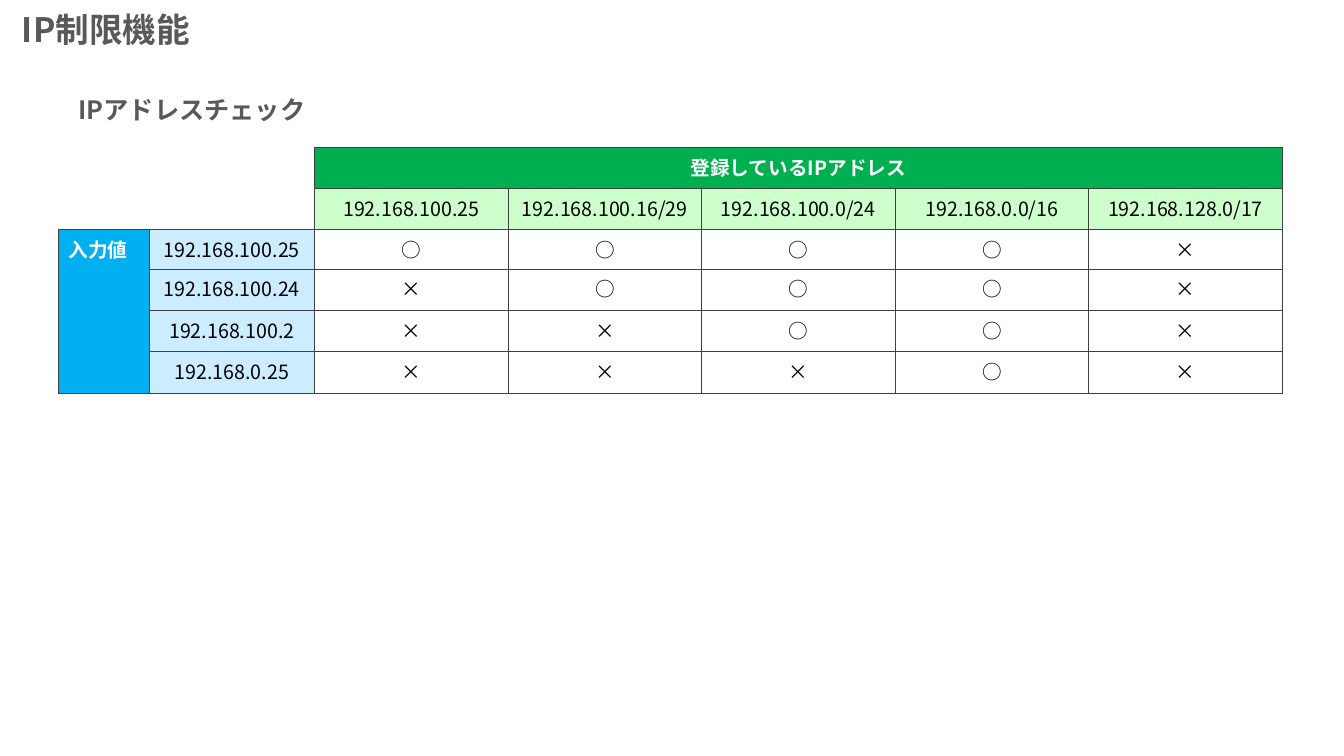
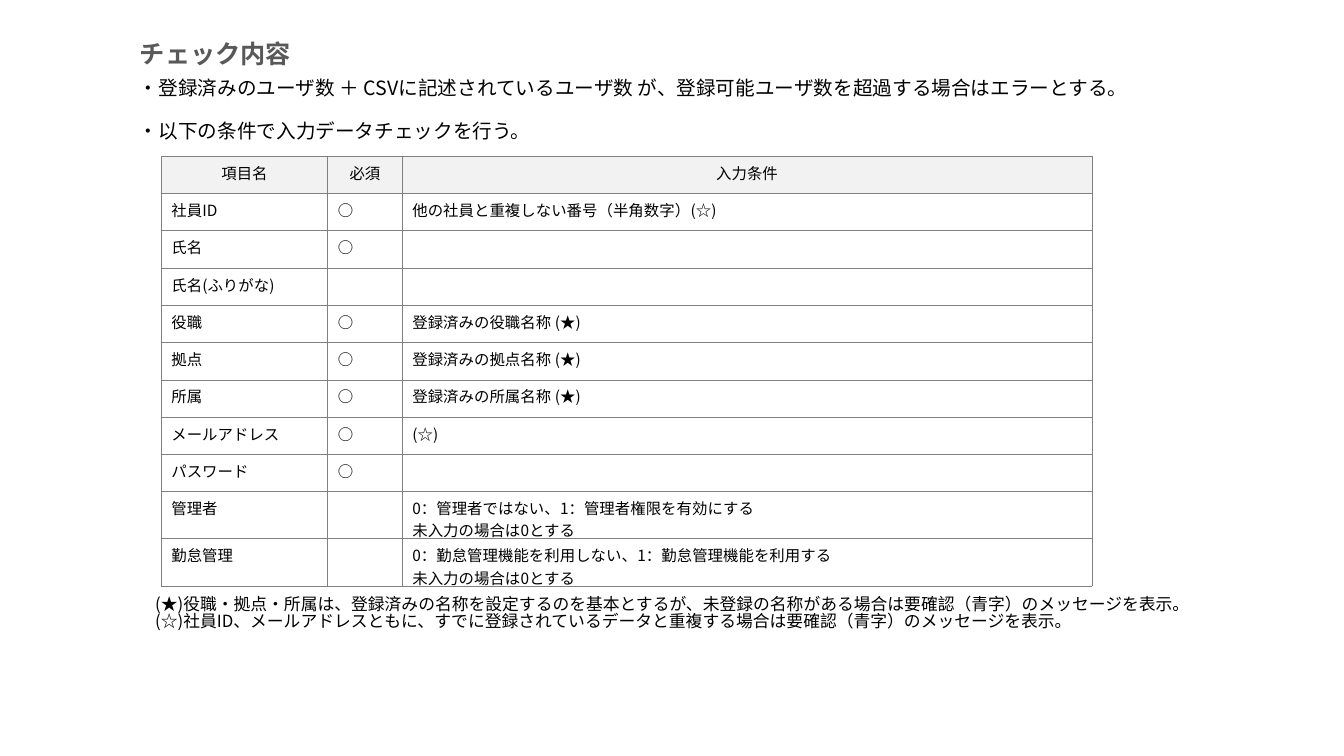
from dataclasses import dataclass, field

from lxml.etree import SubElement
from pptx import Presentation
from pptx.dml.color import RGBColor
from pptx.enum.text import PP_ALIGN as Align
from pptx.oxml.ns import qn
from pptx.util import Inches, Pt

FONT = "Noto Sans CJK JP"
WHITE, BLACK, GREY = "FFFFFF", "000000", "595959"
DARK, MID, PALE = "404040", "808080", "F2F2F2"
GREEN, MINT = "00B050", "CCFFCC"
BLUE, SKY = "00B0F0", "CCECFF"
SIDES = "LRTB"


@dataclass(frozen=True)
class Style:
    size: float
    color: str = BLACK
    bold: bool = False
    align: Align = Align.LEFT


@dataclass
class Cell:
    text: str
    style: Style
    fill: str = WHITE
    edges: dict[str, str] = field(default_factory=dict)


@dataclass
class Box:
    left: float
    top: float
    width: float
    height: float
    text: str
    style: Style
    gap: float = 0


TITLE = Style(24, GREY, True)
HEAD = Style(18, GREY, True)
BODY = Style(14)
NOTE = Style(12)
MARK = Style(14, align=Align.CENTER)
TOP = Style(14, WHITE, True, Align.CENTER)
SIDE = Style(14, WHITE, True)
ITEM = Style(11)
LABEL = Style(11, align=Align.CENTER)


def rgb(code: str) -> RGBColor:
    return RGBColor.from_string(code)


def write(frame, text: str, style: Style) -> None:
    """Fill a text frame, one paragraph a line, in one style."""
    frame.text = text
    for para in frame.paragraphs:
        para.alignment = style.align
        font = para.font
        font.size, font.bold, font.name = Pt(style.size), style.bold, FONT
        font.color.rgb = rgb(style.color)
        props = para._p.pPr.find(qn("a:defRPr"))
        SubElement(props, qn("a:ea"), typeface=FONT)
        if not para.runs:
            # An empty cell needs its own size, or its row grows
            SubElement(para._p, qn("a:endParaRPr"), sz=str(style.size * 100))


def add_box(slide, box: Box) -> None:
    shape = slide.shapes.add_textbox(
        Inches(box.left), Inches(box.top), Inches(box.width), Inches(box.height))
    frame = shape.text_frame
    frame.word_wrap = True
    write(frame, box.text, box.style)
    for i, para in enumerate(frame.paragraphs):
        para.line_spacing = 0.83
        if i:
            para.space_before = Pt(box.gap)


def add_edge(cell, side: str, color: str) -> None:
    props = cell._tc.get_or_add_tcPr()
    line = SubElement(props, qn(f"a:ln{side}"), w=str(Pt(0.5)))
    fill = SubElement(line, qn("a:solidFill"))
    SubElement(fill, qn("a:srgbClr"), val=color)


def add_grid(slide, left: float, top: float, cols: list[float],
             rows: list[float], cells: list[list[Cell]], edge: str):
    """Draw a table whose cells have thin edges and plain fills."""
    table = slide.shapes.add_table(
        len(rows), len(cols), Inches(left), Inches(top),
        Inches(sum(cols)), Inches(sum(rows))).table
    table.first_row = table.horz_banding = False
    for col, width in zip(table.columns, cols):
        col.width = Inches(width)
    for row, height in zip(table.rows, rows):
        row.height = Inches(height)
    for r, line in enumerate(cells):
        for c, item in enumerate(line):
            cell = table.cell(r, c)
            write(cell.text_frame, item.text, item.style)
            for side in SIDES:
                add_edge(cell, side, item.edges.get(side, edge))
            cell.fill.solid()
            cell.fill.fore_color.rgb = rgb(item.fill)
    return table


def corner(row: int, col: int) -> Cell:
    """Blank cell, with dark edges only where it meets the headers."""
    edges = dict.fromkeys(SIDES, WHITE)
    if col == 1:
        edges["R"] = DARK
    if row == 1:
        edges["B"] = DARK
    return Cell("", MARK, edges=edges)


def ip_slide(slide) -> None:
    nets = ["192.168.100.25", "192.168.100.16/29", "192.168.100.0/24",
            "192.168.0.0/16", "192.168.128.0/17"]
    checks = {
        "192.168.100.25": "○○○○×",
        "192.168.100.24": "×○○○×",
        "192.168.100.2": "××○○×",
        "192.168.0.25": "×××○×",
    }
    heads = ["登録しているIPアドレス"] + [""] * (len(nets) - 1)
    cells = [
        [corner(0, 0), corner(0, 1)] + [Cell(t, TOP, GREEN) for t in heads],
        [corner(1, 0), corner(1, 1)] + [Cell(t, MARK, MINT) for t in nets],
    ]
    for i, (value, marks) in enumerate(checks.items()):
        cells.append([Cell("" if i else "入力値", SIDE, BLUE),
                      Cell(value, MARK, SKY)] + [Cell(m, MARK) for m in marks])
    table = add_grid(slide, 0.58, 1.46, [0.9, 1.64] + [1.92] * len(nets),
                     [0.41, 0.41, 0.39, 0.41, 0.41, 0.41], cells, DARK)
    table.cell(0, 2).merge(table.cell(0, 6))
    table.cell(2, 0).merge(table.cell(5, 0))
    add_box(slide, Box(0.68, 0.94, 7.59, 0.4, "IPアドレスチェック", HEAD))
    add_box(slide, Box(0.12, 0.11, 3.13, 0.5, "IP制限機能", TITLE))


def check_slide(slide) -> None:
    heads = ["項目名", "必須", "入力条件"]
    items = [
        ("社員ID", "○", "他の社員と重複しない番号（半角数字）(☆)"),
        ("氏名", "○", ""),
        ("氏名(ふりがな)", "", ""),
        ("役職", "○", "登録済みの役職名称 (★)"),
        ("拠点", "○", "登録済みの拠点名称 (★)"),
        ("所属", "○", "登録済みの所属名称 (★)"),
        ("メールアドレス", "○", "(☆)"),
        ("パスワード", "○", ""),
        ("管理者", "", "0：管理者ではない、1：管理者権限を有効にする\n"
                     "未入力の場合は0とする"),
        ("勤怠管理", "", "0：勤怠管理機能を利用しない、1：勤怠管理機能を利用する\n"
                      "未入力の場合は0とする"),
    ]
    cells = [[Cell(t, LABEL, PALE) for t in heads]]
    cells += [[Cell(t, ITEM) for t in item] for item in items]
    add_grid(slide, 1.6, 1.55, [1.65, 0.74, 6.84],
             [0.37] * 9 + [0.45] * 2, cells, MID)
    add_box(slide, Box(1.29, 0.38, 4.7, 0.4, "チェック内容", HEAD))
    add_box(slide, Box(
        1.44, 5.88, 11.43, 0.5,
        "(★)役職・拠点・所属は、登録済みの名称を設定するのを基本とするが、"
        "未登録の名称がある場合は要確認（青字）のメッセージを表示。\n"
        "(☆)社員ID、メールアドレスともに、すでに登録されているデータと"
        "重複する場合は要確認（青字）のメッセージを表示。", NOTE))
    add_box(slide, Box(
        1.28, 0.74, 10.13, 0.81,
        "・登録済みのユーザ数 ＋ CSVに記述されているユーザ数 が、"
        "登録可能ユーザ数を超過する場合はエラーとする。\n"
        "・以下の条件で入力データチェックを行う。", BODY, gap=16.8))


def main() -> None:
    deck = Presentation()
    deck.slide_width, deck.slide_height = Inches(13.33), Inches(7.5)
    for draw in (ip_slide, check_slide):
        draw(deck.slides.add_slide(deck.slide_layouts[6]))
    deck.save("out.pptx")


if __name__ == "__main__":
    main()
